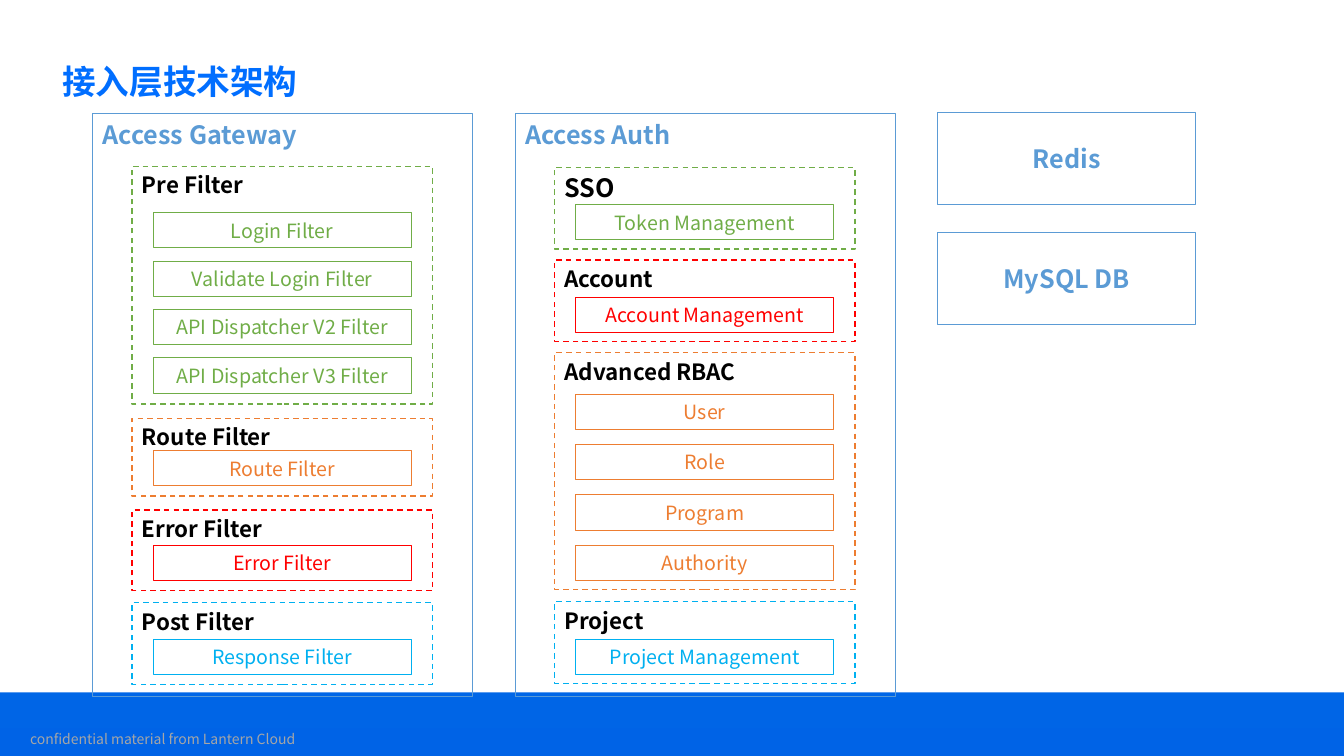
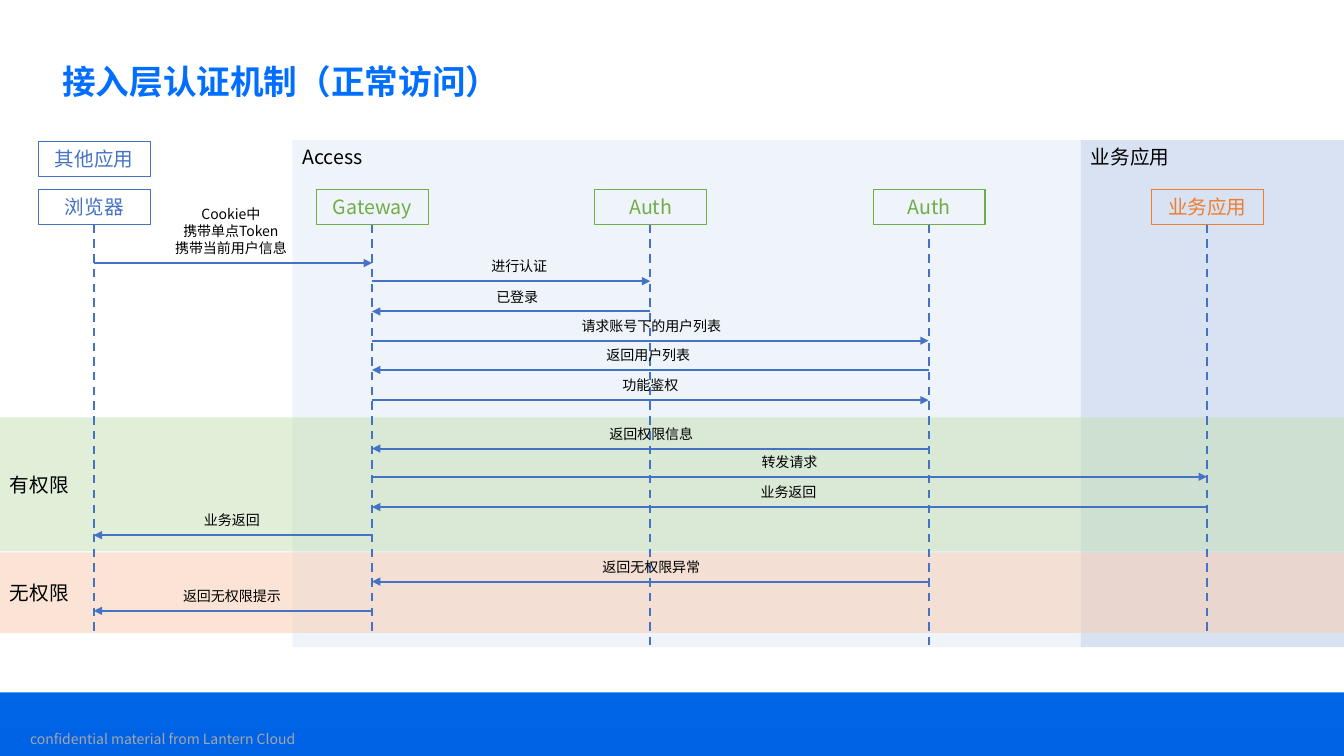
from lxml.etree import SubElement
from pptx import Presentation
from pptx.dml.color import RGBColor
from pptx.enum.dml import MSO_LINE
from pptx.enum.shapes import MSO_CONNECTOR, MSO_SHAPE
from pptx.enum.text import MSO_ANCHOR, PP_ALIGN
from pptx.oxml.ns import qn
from pptx.util import Pt

# Scale: 100 px to the inch
PX = 9144
WIDTH, HEIGHT = 1333, 750
FONT = "Noto Sans CJK SC"
COLORS = {
    "title": "006EFF", "sky": "0099EE", "deep": "0063E6", "white": "FFFFFF",
    "grey": "A6A6A6", "black": "000000", "panel": "5B9BD5", "blue": "4472C4",
    "green": "70AD47", "orange": "ED7D31", "red": "FF0000", "cyan": "00B0F0",
    "access": "DEEBF7", "business": "B4C7E7", "allowed": "C5E0B4", "denied": "F8CBAD",
}


def add_text(slide, text, left, top, width, height, *, shape_type=None, fill=None,
             alpha=None, line=None, dashed=False, size=14, color="black", bold=False,
             center=False, middle=False, spacing=None, font=FONT):
    """Add a text box, or a preset shape when shape_type is given."""
    place = [value * PX for value in (left, top, width, height)]
    if shape_type is None:
        shape = slide.shapes.add_textbox(*place)
    else:
        shape = slide.shapes.add_shape(shape_type, *place)
        shape.shadow.inherit = False
    if fill:
        shape.fill.solid()
        shape.fill.fore_color.rgb = RGBColor.from_string(COLORS[fill])
        if alpha:
            rgb = shape._element.spPr.find(".//" + qn("a:srgbClr"))
            SubElement(rgb, qn("a:alpha")).set("val", str(alpha * 1000))
    else:
        shape.fill.background()
    if line:
        shape.line.color.rgb = RGBColor.from_string(COLORS[line])
        shape.line.width = Pt(1 if dashed else 0.75)
        if dashed:
            shape.line.dash_style = MSO_LINE.DASH
    else:
        shape.line.fill.background()

    frame = shape.text_frame
    frame.word_wrap = True
    frame.vertical_anchor = MSO_ANCHOR.MIDDLE if middle else MSO_ANCHOR.TOP
    frame.text = text
    for paragraph in frame.paragraphs:
        paragraph.alignment = PP_ALIGN.CENTER if center else PP_ALIGN.LEFT
        if spacing:
            paragraph.line_spacing = spacing
        for run in paragraph.runs:
            run.font.size = Pt(size)
            run.font.bold = bold
            run.font.name = font
            run.font.color.rgb = RGBColor.from_string(COLORS[color])
            SubElement(run._r.get_or_add_rPr(), qn("a:ea")).set("typeface", FONT)
    return shape


def add_line(slide, x1, y1, x2, y2, *, dashed=False, arrow=False):
    ends = [value * PX for value in (x1, y1, x2, y2)]
    connector = slide.shapes.add_connector(MSO_CONNECTOR.STRAIGHT, *ends)
    connector.line.color.rgb = RGBColor.from_string(COLORS["blue"])
    connector.line.width = Pt(1.5)
    if dashed:
        connector.line.dash_style = MSO_LINE.DASH
    properties = connector._element.spPr
    if arrow:
        SubElement(properties.find(qn("a:ln")), qn("a:tailEnd")).set("type", "triangle")
    SubElement(properties, qn("a:effectLst"))


presentation = Presentation()
presentation.slide_width = WIDTH * PX
presentation.slide_height = HEIGHT * PX
RECT = MSO_SHAPE.RECTANGLE

# Shared frame: gradient footer band, white page, footer and title
slides = []
for title in ("接入层技术架构", "接入层认证机制（正常访问）"):
    slide = presentation.slides.add_slide(presentation.slide_layouts[6])
    backdrop = add_text(slide, "", 0, 0, WIDTH, HEIGHT, shape_type=RECT)
    backdrop.fill.gradient()
    backdrop.fill.gradient_angle = 270
    for stop, color in zip(backdrop.fill.gradient_stops, ("sky", "deep")):
        stop.color.rgb = RGBColor.from_string(COLORS[color])
    add_text(slide, "", 0, 0, WIDTH, 687, shape_type=RECT, fill="white")
    add_text(slide, "confidential material from Lantern Cloud", 20, 718, 363, 30,
             size=10, color="grey", middle=True)
    add_text(slide, title, 52, 52, 1150, 62, size=24, color="title", bold=True,
             middle=True, spacing=0.9)
    slides.append(slide)
architecture, sequence = slides

# Slide 1: panels of dashed groups
# Group: name, size, colour, top, height, first item top, item pitch, items
panels = [
    (92, "Access Gateway", [
        ("Pre Filter", 16, "green", 165, 236, 211, 48,
         ["Login Filter", "Validate Login Filter",
          "API Dispatcher V2 Filter", "API Dispatcher V3 Filter"]),
        ("Route Filter", 16, "orange", 415, 77, 447, 0, ["Route Filter"]),
        ("Error Filter", 16, "red", 506, 80, 541, 0, ["Error Filter"]),
        ("Post Filter", 16, "cyan", 598, 81, 634, 0, ["Response Filter"]),
    ]),
    (511, "Access Auth", [
        ("SSO", 18, "green", 166, 81, 203, 0, ["Token Management"]),
        ("Account", 16, "red", 258, 81, 295, 0, ["Account Management"]),
        ("Advanced RBAC", 16, "orange", 350, 235, 391, 50,
         ["User", "Role", "Program", "Authority"]),
        ("Project", 16, "cyan", 597, 81, 634, 0, ["Project Management"]),
    ]),
]
for left, heading, groups in panels:
    add_text(architecture, heading, left, 113, 377, 578, shape_type=RECT,
             line="panel", size=18, color="panel", bold=True)
    for name, size, color, top, height, first, pitch, items in groups:
        add_text(architecture, name, left + 39, top, 298, height, shape_type=RECT,
                 line=color, dashed=True, size=size, bold=True)
        for index, item in enumerate(items):
            add_text(architecture, item, left + 60, first + index * pitch, 256, 35,
                     shape_type=RECT, line=color, color=color, center=True, middle=True)

# Slide 1: data stores
for top, store in ((112, "Redis"), (231, "MySQL DB")):
    add_text(architecture, store, 930, top, 256, 91, shape_type=RECT, line="panel",
             size=18, color="panel", bold=True, center=True, middle=True)

# Slide 2: system zones and permission bands
zones = [
    ("业务应用", 1072, 139, 261, 503, "business", False, FONT),
    ("Access", 290, 139, 782, 503, "access", False, FONT),
    ("无权限", 0, 548, WIDTH, 80, "denied", True, "Calibri"),
    ("有权限", 0, 414, WIDTH, 133, "allowed", True, "Calibri"),
]
for text, left, top, width, height, fill, middle, font in zones:
    add_text(sequence, text, left, top, width, height, shape_type=RECT, fill=fill,
             alpha=50, middle=middle, font=font)

# Slide 2: participants with their lifelines
lanes = [93 + 276 * index for index in range(5)]
participants = [
    ("浏览器", "blue", 628), ("Gateway", "green", 628), ("Auth", "green", 642),
    ("Auth", "green", 642), ("业务应用", "orange", 628),
]
boxes = [(lane, 188, name, color)
         for lane, (name, color, _) in zip(lanes, participants)]
boxes.append((lanes[0], 140, "其他应用", "blue"))
for lane, top, name, color in boxes:
    add_text(sequence, name, lane - 55, top, 111, 35, shape_type=RECT, line=color,
             color=color, center=True, middle=True)
for lane, (_, _, bottom) in zip(lanes, participants):
    add_line(sequence, lane, 223, lane, bottom, dashed=True)

# Slide 2: messages as from lane, to lane, height, label centre, label
messages = [
    (0, 1, 261, 229, "Cookie中\n携带单点Token\n携带当前用户信息"),
    (1, 2, 279, 515, "进行认证"),
    (2, 1, 309, 513, "已登录"),
    (1, 3, 338, 646, "请求账号下的用户列表"),
    (3, 1, 367, 643, "返回用户列表"),
    (1, 3, 397, 645, "功能鉴权"),
    (3, 1, 445, 646, "返回权限信息"),
    (1, 4, 473, 783, "转发请求"),
    (4, 1, 503, 782, "业务返回"),
    (1, 0, 531, 230, "业务返回"),
    (3, 1, 577, 646, "返回无权限异常"),
    (1, 0, 606, 230, "返回无权限提示"),
]
for start, end, y, middle_x, label in messages:
    add_line(sequence, lanes[start], y, lanes[end], y, arrow=True)
    label_height = 28 + 17 * label.count("\n")
    add_text(sequence, label, middle_x - 100, y - label_height, 200, label_height,
             size=10, center=True)

presentation.save("out.pptx")
